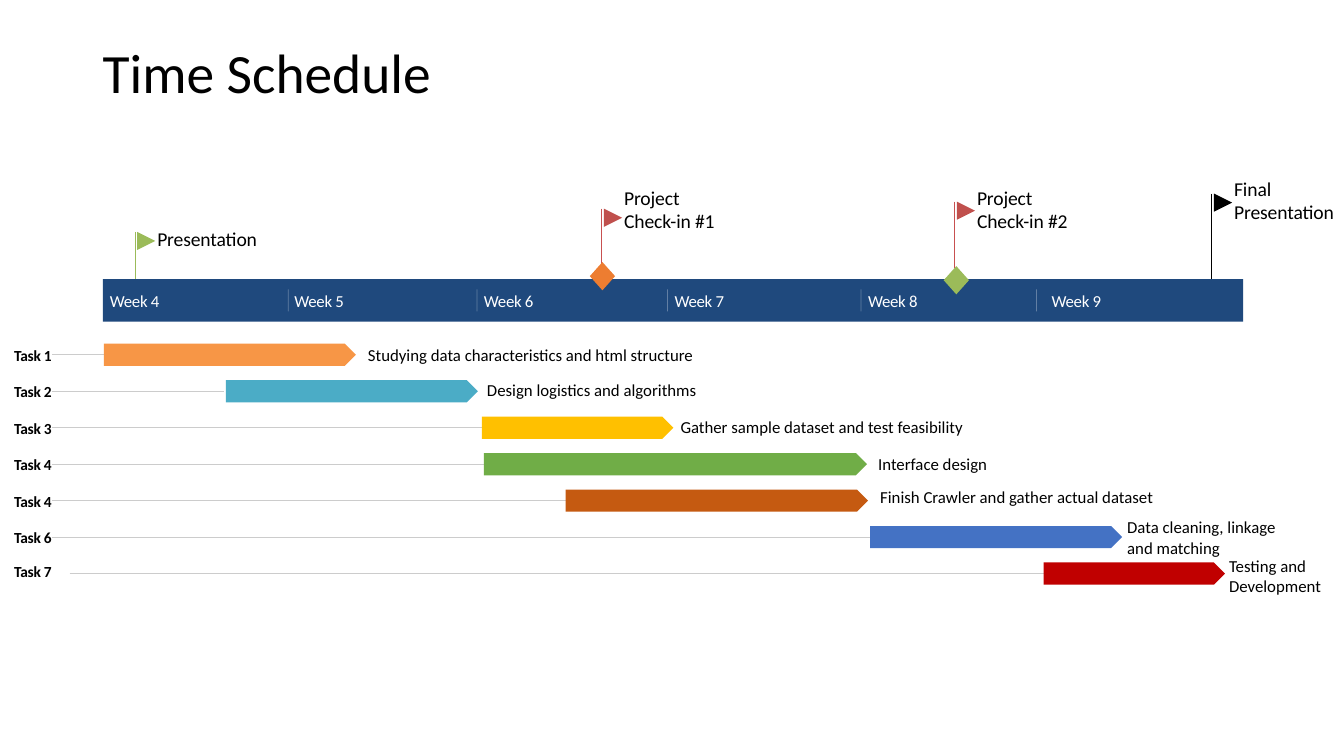
from lxml.etree import SubElement
from pptx import Presentation
from pptx.dml.color import RGBColor
from pptx.enum.shapes import MSO_CONNECTOR, MSO_SHAPE
from pptx.enum.text import MSO_ANCHOR
from pptx.oxml.ns import qn
from pptx.util import Inches, Pt

COLORS = {
    "black": "000000", "white": "FFFFFF", "navy": "1F497D", "grid": "CCCCCC",
    "green": "9BBB59", "pole_red": "C85050", "flag_red": "C0504D",
    "diamond_orange": "ED7D31", "orange": "F79646", "teal": "4BACC6",
    "gold": "FFC000", "leaf": "70AD47", "rust": "C55A11", "blue": "4472C4",
    "red": "C00000",
}

deck = Presentation()
deck.slide_width, deck.slide_height = Inches(13.33), Inches(7.5)
page = deck.slides.add_slide(deck.slide_layouts[6])


def add_text(text, left, top, width, height, size=12, color="black",
             bold=False, spacing=0, inset=0, wrap=True, line_spacing=None):
    box = page.shapes.add_textbox(Inches(left), Inches(top), Inches(width), Inches(height))
    frame = box.text_frame
    frame.word_wrap = wrap
    frame.vertical_anchor = MSO_ANCHOR.MIDDLE
    frame.margin_left = frame.margin_right = Inches(inset)
    frame.margin_top = frame.margin_bottom = Inches(inset / 2)
    for index, line in enumerate(text.split("\n")):
        para = frame.paragraphs[0] if index == 0 else frame.add_paragraph()
        para.line_spacing = line_spacing
        span = para.add_run()
        span.text = line
        span.font.name = "Calibri"
        span.font.size = Pt(size)
        span.font.bold = bold
        span.font.color.rgb = RGBColor.from_string(COLORS[color])
        if spacing:
            span.font._element.set("spc", str(round(spacing * 100)))


def add_mark(color, left, top, width, height, kind=None, weight=0.75):
    if kind is None:
        mark = page.shapes.add_connector(
            MSO_CONNECTOR.STRAIGHT, Inches(left), Inches(top),
            Inches(left + width), Inches(top + height))
        mark.line.width = Pt(weight)
        mark.line.color.rgb = RGBColor.from_string(COLORS[color])
        SubElement(mark._element.spPr, qn("a:effectLst"))
    else:
        mark = page.shapes.add_shape(
            kind, Inches(left), Inches(top), Inches(width), Inches(height))
        mark.shadow.inherit = False
        mark.fill.solid()
        mark.fill.fore_color.rgb = RGBColor.from_string(COLORS[color])
        mark.line.fill.background()
    return mark


add_text("Time Schedule", 0.92, 0.4, 11.5, 0.69, size=39.6, inset=0.1, line_spacing=0.9)

milestones = [
    ("Presentation", 1.34, 2.3, 2.77, 2.25, "green", "green"),
    ("Project\nCheck-in #1", 5.97, 2.07, 2.73, 1.84, "pole_red", "flag_red"),
    ("Project\nCheck-in #2", 9.47, 2, 2.66, 1.84, "pole_red", "flag_red"),
    ("Final\nPresentation", 12.02, 1.92, 2.82, 1.75, "black", "black"),
]
for name, left, top, bottom, text_top, pole_color, flag_color in milestones:
    add_mark(pole_color, left, top, 0, bottom - top)
    flag = add_mark(flag_color, left + 0.02, top, 0.18, 0.18, MSO_SHAPE.FLOWCHART_MERGE)
    flag.rotation = 270
    text_height = 0.47 if "\n" in name else 0.24
    add_text(name, left + 0.22, text_top, 1.09, text_height, size=14, spacing=-0.1)

add_mark("navy", 1.02, 2.77, 11.31, 0.42, MSO_SHAPE.RECTANGLE)
for week, left in enumerate([1.09, 2.92, 4.8, 6.69, 8.61, 10.43], start=4):
    add_text(f"Week {week}", left, 2.88, 0.5, 0.2, color="white", spacing=-0.2, wrap=False)
for left in [2.86, 4.73, 6.62, 8.54, 10.28]:
    divider = add_mark("white", left, 2.87, 0, 0.22, weight=0.5)
    tint = divider._element.spPr.find(".//" + qn("a:srgbClr"))
    SubElement(tint, qn("a:alpha"), val="30000")
add_mark("diamond_orange", 5.85, 2.6, 0.25, 0.28, MSO_SHAPE.DIAMOND)
add_mark("green", 9.36, 2.64, 0.25, 0.28, MSO_SHAPE.DIAMOND)

first_row, last_row = 3.41, 5.58
tasks = [
    ("Task 1", "orange", 1.03, 2.5, 0.52, 1.14,
     "Studying data characteristics and html structure", 3.65, 3.42, 3.93),
    ("Task 2", "teal", 2.24, 2.5, 0.52, 2.22,
     "Design logistics and algorithms", 4.83, 3.77, 3.18),
    ("Task 3", "gold", 4.78, 1.9, 0.52, 4.82,
     "Gather sample dataset and test feasibility", 6.75, 4.13, 4),
    ("Task 4", "leaf", 4.8, 3.8, 0.52, 7.52,
     "Interface design", 8.71, 4.5, 2.01),
    ("Task 4", "rust", 5.61, 3, 0.52, 8.52,
     "Finish Crawler and gather actual dataset", 8.73, 4.83, 4.04),
    ("Task 6", "blue", 8.63, 2.5, 0.52, 10.89,
     "Data cleaning, linkage\nand matching", 11.18, 5.13, 2),
    ("Task 7", "red", 10.35, 1.8, 0.69, 11.06,
     "Testing and Development", 12.19, 5.51, 1.1),
]
row_step = (last_row - first_row) / (len(tasks) - 1)
for row, task in enumerate(tasks):
    label, color, left, width, guide_left, guide_right, caption, text_left, text_top, text_width = task
    top = first_row + row * row_step
    add_mark("grid", guide_left, top + 0.11, guide_right - guide_left, 0)
    add_mark(color, left, top, width, 0.22, MSO_SHAPE.PENTAGON)
    label_top = top - 0.01 if label == "Task 7" else top + 0.02
    add_text(label, 0.14, label_top, 0.39, 0.19, size=11, bold=True, spacing=-0.2)
    text_height = 0.4 if row >= 5 else 0.2
    add_text(caption, text_left, text_top, text_width, text_height)

deck.save("out.pptx")
